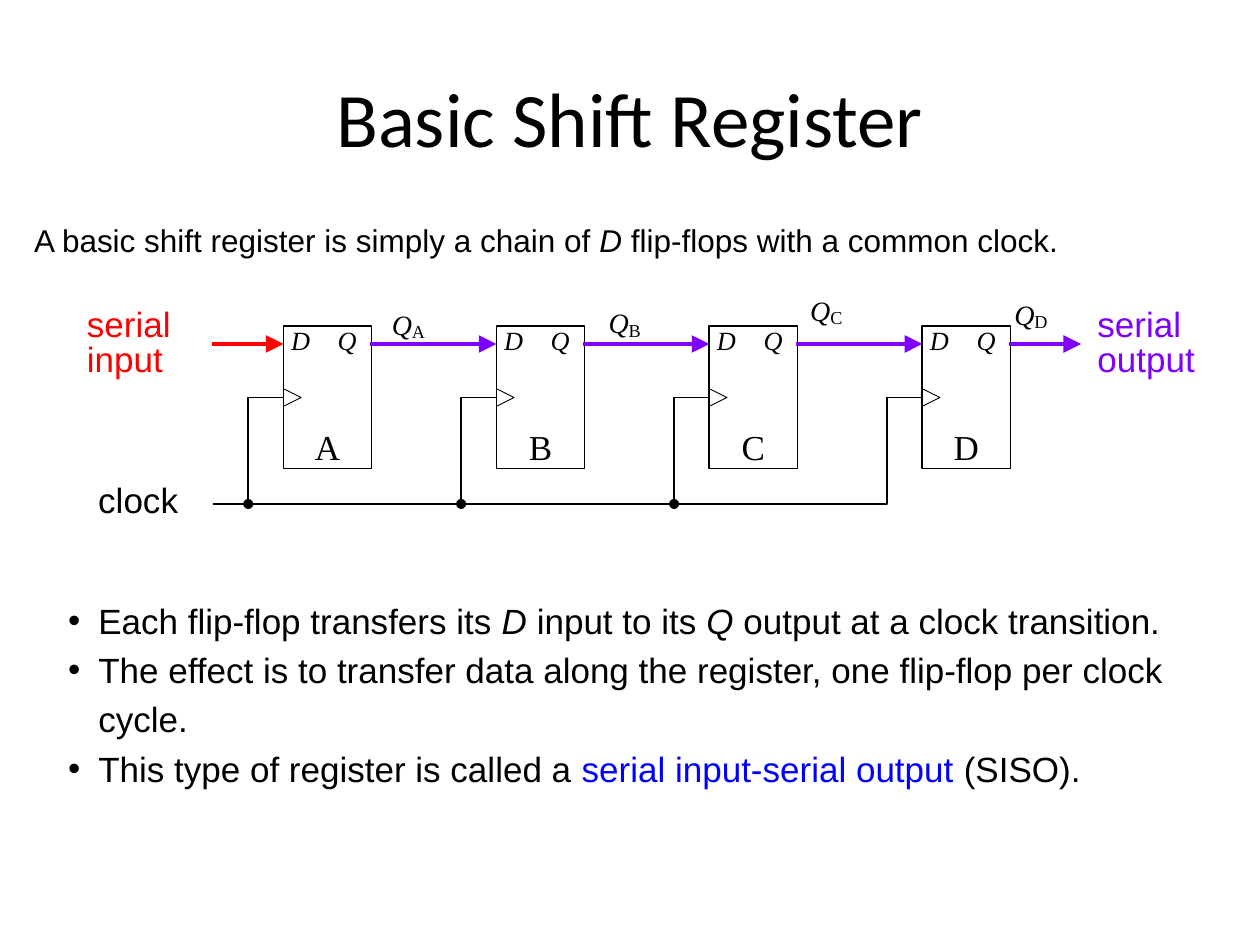
import pptx
import pptx.util
import pptx.dml.color
import pptx.enum.shapes
import pptx.enum.text
import pptx.oxml.ns
from lxml import etree

# Content: a run is (text, changes to the base style)
TITLE = "Basic Shift Register"
ITALIC = {"italic": True}
INTRO = [("A basic shift register is simply a chain of ", {}), ("D ", ITALIC),
         ("flip-flops with a common clock.", {})]
BULLETS = [
    [("Each flip-flop transfers its ", {}), ("D ", ITALIC), ("input to its ", {}),
     ("Q ", ITALIC), ("output at a clock transition.", {})],
    [("The effect is to transfer data along the register, "
      "one flip-flop per clock cycle.", {})],
    [("This type of register is called a ", {}),
     ("serial input-serial output ", {"color": "0000FF"}), ("(SISO).", {})],
]
# Flip-flop name, then left and top of its output label
FLIP_FLOPS = [("A", 3.01, 2.36), ("B", 4.73, 2.35), ("C", 6.33, 2.25), ("D", 7.95, 2.28)]

BLACK, RED, VIOLET = "000000", "FF0000", "7F00FF"
SANS, SERIF = "Arial", "Times New Roman"

# Circuit grid, in inches
FIRST_LEFT, PITCH = 2.25, 1.69
BOX_TOP, BOX_WIDTH, BOX_HEIGHT = 2.59, 0.7, 1.13
DATA_Y, CLOCK_IN_Y, CLOCK_Y = 2.73, BOX_TOP + BOX_HEIGHT / 2, 4.0
WIRE_GAP, NOTCH, DOT = 0.28, 0.14, 0.08
MARGIN, TEXT_WIDTH = 0.27, 9.19

inch = pptx.util.Inches


def rgb(color):
    return pptx.dml.color.RGBColor.from_string(color)


def style_run(run, size, font=SANS, color=BLACK, italic=False, baseline=None):
    run.font.size = pptx.util.Pt(size)
    run.font.name = font
    run.font.italic = italic
    run.font.color.rgb = rgb(color)
    if baseline:
        run.font._element.set("baseline", str(baseline))


def add_runs(paragraph, runs, **base):
    for text, changes in runs:
        run = paragraph.add_run()
        run.text = text
        style_run(run, **{**base, **changes})


def add_text_box(slide, left, top, width, height, wrap=True):
    frame = slide.shapes.add_textbox(inch(left), inch(top), inch(width), inch(height)).text_frame
    frame.word_wrap = wrap
    frame.margin_left = frame.margin_right = frame.margin_top = frame.margin_bottom = 0
    return frame


def add_label(slide, place, runs, wrap=True, **base):
    paragraph = add_text_box(slide, *place, wrap=wrap).paragraphs[0]
    add_runs(paragraph, runs, **base)
    return paragraph


def add_element(paragraph, tag, **attributes):
    element = etree.SubElement(paragraph._p.get_or_add_pPr(), pptx.oxml.ns.qn(tag))
    for name, value in attributes.items():
        element.set(name, str(value))
    return element


def outline(shape, width):
    shape.shadow.inherit = False
    shape.fill.background()
    shape.line.color.rgb = rgb(BLACK)
    shape.line.width = pptx.util.Pt(width)


def add_polyline(slide, points, width):
    points = [(inch(x), inch(y)) for x, y in points]
    builder = slide.shapes.build_freeform(*points[0])
    builder.add_line_segments(points[1:], close=False)
    outline(builder.convert_to_shape(), width)


def add_arrow(slide, start, end, color):
    arrow = slide.shapes.add_connector(
        pptx.enum.shapes.MSO_CONNECTOR.STRAIGHT,
        inch(start), inch(DATA_Y), inch(end), inch(DATA_Y))
    arrow.line.color.rgb = rgb(color)
    arrow.line.width = pptx.util.Pt(2)
    head = etree.SubElement(arrow.line._get_or_add_ln(), pptx.oxml.ns.qn("a:tailEnd"))
    for name, value in (("type", "triangle"), ("w", "lg"), ("len", "lg")):
        head.set(name, value)
    etree.SubElement(arrow._element.spPr, pptx.oxml.ns.qn("a:effectLst"))


def add_flip_flop(slide, left, name):
    box = slide.shapes.add_shape(
        pptx.enum.shapes.MSO_SHAPE.RECTANGLE,
        inch(left), inch(BOX_TOP), inch(BOX_WIDTH), inch(BOX_HEIGHT))
    outline(box, 1)
    # Clock notch
    add_polyline(slide, [(left, CLOCK_IN_Y - NOTCH / 2), (left + NOTCH, CLOCK_IN_Y),
                         (left, CLOCK_IN_Y + NOTCH / 2)], 0.5)
    # Pin names and flip-flop name
    pins = add_text_box(slide, left + 0.06, 2.57, 0.59, 0.28).paragraphs[0]
    tabs = add_element(pins, "a:tabLst")
    tab = etree.SubElement(tabs, pptx.oxml.ns.qn("a:tab"))
    tab.set("pos", str(inch(0.37)))
    tab.set("algn", "l")
    add_runs(pins, [("D\tQ", ITALIC)], size=15, font=SERIF)
    paragraph = add_label(slide, (left, 3.38, BOX_WIDTH, 0.35), [(name, {})], size=20, font=SERIF)
    paragraph.alignment = pptx.enum.text.PP_ALIGN.CENTER


def add_clock_wire(slide, left, is_last):
    corner = left - WIRE_GAP
    points = [(left, CLOCK_IN_Y), (corner, CLOCK_IN_Y), (corner, CLOCK_Y)]
    if is_last:
        points.append((1.69, CLOCK_Y))
    add_polyline(slide, points, 1)
    if not is_last:
        dot = slide.shapes.add_shape(
            pptx.enum.shapes.MSO_SHAPE.OVAL, inch(corner - DOT / 2),
            inch(CLOCK_Y - DOT / 2), inch(DOT), inch(DOT))
        dot.shadow.inherit = False
        dot.fill.solid()
        dot.fill.fore_color.rgb = rgb(BLACK)
        dot.line.fill.background()


def add_bullets(slide):
    frame = add_text_box(slide, MARGIN, 4.76, TEXT_WIDTH, 1.6)
    for index, runs in enumerate(BULLETS):
        paragraph = frame.paragraphs[0] if index == 0 else frame.add_paragraph()
        if index:
            paragraph.line_spacing = 1.17
        properties = paragraph._p.get_or_add_pPr()
        properties.set("marL", str(inch(0.51)))
        properties.set("indent", str(-inch(0.24)))
        add_element(paragraph, "a:buFont", typeface=SANS)
        add_element(paragraph, "a:buChar", char="•")
        add_runs(paragraph, runs, size=20)


def main():
    presentation = pptx.Presentation()
    presentation.slide_width, presentation.slide_height = inch(10), inch(7.5)
    slide = presentation.slides.add_slide(presentation.slide_layouts[5])

    # Title and introduction
    title = slide.shapes.title
    title.left, title.top, title.width, title.height = map(inch, (0.5, 0.3, 9, 1.25))
    title.text_frame.vertical_anchor = pptx.enum.text.MSO_ANCHOR.MIDDLE
    paragraph = title.text_frame.paragraphs[0]
    paragraph.alignment = pptx.enum.text.PP_ALIGN.CENTER
    add_runs(paragraph, [(TITLE, {})], size=44, font="Calibri")
    add_label(slide, (MARGIN, 1.75, TEXT_WIDTH, 0.35), INTRO, size=18)

    # Flip-flop chain with its clock wires, data arrows and output labels
    add_arrow(slide, 1.68, FIRST_LEFT, RED)
    for index, (name, label_left, label_top) in enumerate(FLIP_FLOPS):
        left = FIRST_LEFT + index * PITCH
        is_last = index == len(FLIP_FLOPS) - 1
        add_flip_flop(slide, left, name)
        add_clock_wire(slide, left, is_last)
        add_arrow(slide, left + BOX_WIDTH - 0.01, 8.58 if is_last else left + PITCH, VIOLET)
        add_label(slide, (label_left + 0.1, label_top + 0.05, 0.3, 0.31),
                  [("Q", ITALIC), (name, {"size": 18, "baseline": -10000})],
                  wrap=False, size=16, font=SERIF)

    # Input, output and clock labels
    for text, left, width, color in (("serial input", 0.69, 0.7, RED),
                                     ("serial output", 8.71, 0.81, VIOLET)):
        paragraph = add_label(slide, (left, 2.45, width, 0.57), [(text, {})], size=20, color=color)
        paragraph.line_spacing = pptx.util.Pt(20.2)
    add_label(slide, (0.78, 3.8, 0.8, 0.35), [("clock", {})], size=20)

    add_bullets(slide)
    presentation.save("out.pptx")


if __name__ == "__main__":
    main()
